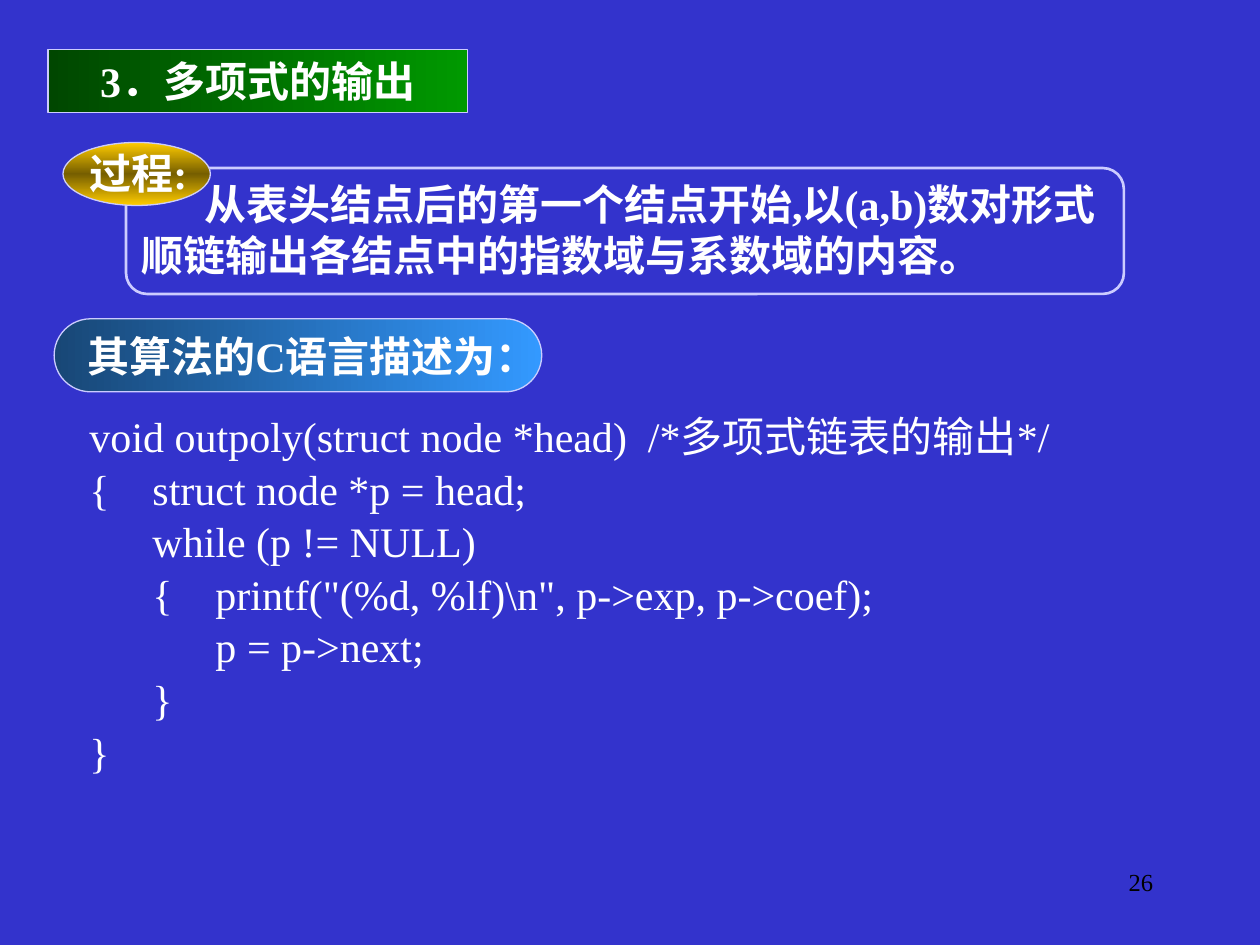
from copy import deepcopy
from dataclasses import dataclass

from pptx import Presentation
from pptx import util as u
from pptx.dml.color import RGBColor
from pptx.enum import shapes, text
from pptx.oxml import parse_xml
from pptx.oxml.ns import nsdecls, qn

CODE = [
    "void outpoly(struct node *head)  /*多项式链表的输出*/",
    "{\tstruct node *p = head;",
    "\twhile (p != NULL)",
    '\t{\tprintf("(%d, %lf)\\n", p->exp, p->coef);',
    "\t\tp = p->next;",
    "\t}",
    "}",
]


@dataclass(frozen=True)
class Theme:
    font: str = "Times New Roman"
    body: int = 24
    small: int = 14
    back: str = "3333CC"
    ink: str = "FFFFFF"
    number: str = "000000"
    outline: str = "CCCCFF"
    green: tuple = ("004700", "009900")
    gold: tuple = ("FFCC00", "765E00", "FFCC00")
    blue: tuple = ("184776", "3399FF")


class Deck:
    """Style and current slide; boxes are (left, top, width, height) in percent."""

    def __init__(self, prs, theme):
        self.prs, self.theme = prs, theme
        self.slide = prs.slides.add_slide(prs.slide_layouts[5])
        fill = self.slide.background.fill
        fill.solid()
        fill.fore_color.rgb = RGBColor.from_string(theme.back)

    def place(self, box):
        w, h = self.prs.slide_width, self.prs.slide_height
        return [int(size * share / 100) for size, share in zip((w, h, w, h), box)]

    def set_text(self, sp, lines, size=None, color=None, bold=True, align="LEFT",
                 anchor="TOP", wrap=True, insets=(0.04, 0, 0.04, 0),
                 spacing=None, before=0, indent=0):
        tf = sp.text_frame
        tf.text = "\n".join(lines)
        tf.word_wrap = wrap
        tf.auto_size = text.MSO_AUTO_SIZE.NONE
        tf.vertical_anchor = text.MSO_ANCHOR[anchor]
        tf.margin_left, tf.margin_top, tf.margin_right, tf.margin_bottom = map(u.Inches, insets)
        for i, p in enumerate(tf.paragraphs):
            p.alignment = text.PP_ALIGN[align]
            p.space_before = u.Pt(before if i else 0)
            if spacing:
                p.line_spacing = spacing
            if indent:
                p._p.get_or_add_pPr().set("indent", str(u.Inches(indent)))
            for r in p.runs:
                r.font.name, r.font.bold = self.theme.font, bold
                r.font.size = u.Pt(size or self.theme.body)
                r.font.color.rgb = RGBColor.from_string(color or self.theme.ink)

    def paint(self, sp, colors, angle=0, width=0.75):
        sp.line.color.rgb = RGBColor.from_string(self.theme.outline)
        sp.line.width = u.Pt(width)
        if not colors:
            sp.fill.background()
            return
        sp.fill.gradient()
        sp.fill.gradient_angle = angle
        stops = sp._element.spPr.find(qn("a:gradFill")).find(qn("a:gsLst"))
        while len(stops) < len(colors):
            stops.append(deepcopy(stops[0]))
        for i, (stop, color) in enumerate(zip(sp.fill.gradient_stops, colors)):
            stop.position = i / (len(colors) - 1)
            stop.color.rgb = RGBColor.from_string(color)

    def title(self, box, words, colors):
        sp = self.slide.shapes.title
        sp.left, sp.top, sp.width, sp.height = self.place(box)
        sp._element.spPr.append(parse_xml(
            f'<a:prstGeom {nsdecls("a")} prst="roundRect"><a:avLst>'
            '<a:gd name="adj" fmla="val 50000"/></a:avLst></a:prstGeom>'))
        self.paint(sp, colors)
        self.set_text(sp, [words], align="CENTER", anchor="MIDDLE", wrap=False)

    def shape(self, parent, kind, box, colors=None, corner=None, **look):
        sp = parent.shapes.add_shape(kind, *self.place(box))
        sp.shadow.inherit = False
        if corner is not None:
            sp.adjustments[0] = corner
        self.paint(sp, colors, **look)
        return sp

    def label(self, parent, box, lines, **look):
        self.set_text(parent.shapes.add_textbox(*self.place(box)), lines, **look)


def main():
    prs = Presentation()
    prs.slide_width, prs.slide_height = u.Inches(10), u.Inches(7.5)
    theme = Theme()
    deck = Deck(prs, theme)
    s = deck.slide
    kinds = shapes.MSO_SHAPE

    # Heading
    deck.title((3.8, 5.2, 33.3, 6.67), "3．多项式的输出", theme.green)

    # Procedure: framed text with a gold tag on its corner
    group = s.shapes.add_group_shape()
    deck.label(group, (10.8, 18.93, 77.5, 10.8),
               ["从表头结点后的第一个结点开始,以(a,b)数对形式顺链输出各结点中的指数域与系数域的内容。"],
               indent=0.5)
    deck.shape(group, kinds.ROUNDED_RECTANGLE, (10, 17.78, 79.2, 13.33),
               corner=0.167, width=1.5)
    deck.shape(group, kinds.OVAL, (5, 15.07, 11.7, 6.67), theme.gold, angle=90)
    deck.label(group, (6.7, 15.56, 9.2, 5.33), ["过程:"], wrap=False,
               insets=(0.04, 0, 0, 0))

    # Algorithm heading
    sp = deck.shape(s, kinds.ROUNDED_RECTANGLE, (4.3, 33.73, 38.7, 7.73),
                    theme.blue, corner=0.5)
    deck.set_text(sp, ["其算法的C语言描述为："], anchor="MIDDLE", wrap=False,
                  insets=(0.18, 0, 0.04, 0))

    # Code listing
    deck.label(s, (6.7, 45.33, 80.8, 39.07), CODE, bold=False, spacing=0.6, before=12.75)

    # Page number
    deck.label(s, (71.7, 91.07, 20.8, 6.67), ["26"], size=theme.small,
               color=theme.number, bold=False, align="RIGHT",
               insets=(0.1, 0.05, 0.1, 0.05))

    prs.save("out.pptx")


if __name__ == "__main__":
    main()
